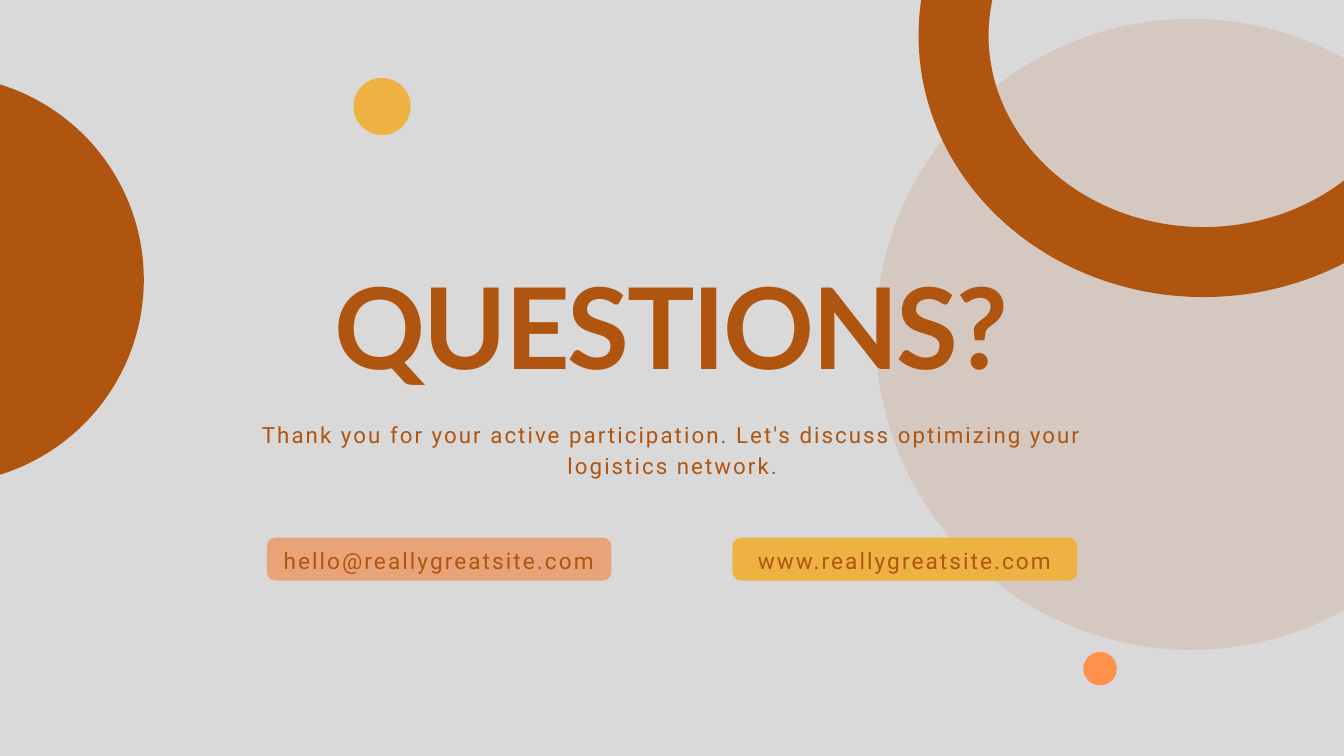
from dataclasses import dataclass

from lxml import etree
from pptx import Presentation
from pptx.dml.color import RGBColor
from pptx.enum.shapes import MSO_SHAPE as Shape
from pptx.enum.text import MSO_AUTO_SIZE as AutoSize, PP_ALIGN as Align
from pptx.oxml.ns import qn
from pptx.util import Inches, Pt


@dataclass(frozen=True)
class Theme:
    background: str = "D9D9D9"
    rust: str = "B05510"
    peach: str = "E9A379"
    amber: str = "EEB243"
    orange: str = "FF914D"
    heading_font: str = "Lato"
    body_font: str = "Roboto"
    title_size: float = 120.7
    body_size: float = 23.9
    contact_size: float = 24.2
    title_tracking: int = -240
    body_tracking: int = 220
    ring_width: int = 75


class Painter:
    def __init__(self, slide, theme):
        self.slide = slide
        self.theme = theme

    def background(self):
        fill = self.slide.background.fill
        fill.solid()
        fill.fore_color.rgb = RGBColor.from_string(self.theme.background)

    def shape(self, kind, left, top, width, height, color, opacity=100):
        shape = self.slide.shapes.add_shape(
            kind, Inches(left), Inches(top), Inches(width), Inches(height))
        shape.shadow.inherit = False
        shape.line.fill.background()
        shape.fill.solid()
        shape.fill.fore_color.rgb = RGBColor.from_string(color)
        if opacity < 100:
            tint = shape.fill._xPr.find(".//" + qn("a:srgbClr"))
            etree.SubElement(tint, qn("a:alpha"), val=str(opacity * 1000))
        return shape

    def circle(self, left, top, size, color, opacity=100):
        return self.shape(Shape.OVAL, left, top, size, size, color, opacity)

    def ring(self, left, top, width, height, color):
        ring = self.shape(Shape.OVAL, left, top, width, height, color)
        ring.fill.background()
        ring.line.color.rgb = RGBColor.from_string(color)
        ring.line.width = Pt(self.theme.ring_width)

    def pill(self, left, top, width, height, color):
        pill = self.shape(Shape.ROUNDED_RECTANGLE, left, top, width, height, color)
        pill.adjustments[0] = 0.2

    def text(self, words, left, top, width, height, size, leading, font, tracking, bold=False):
        box = self.slide.shapes.add_textbox(
            Inches(left), Inches(top), Inches(width), Inches(height))
        frame = box.text_frame
        frame.word_wrap = True
        frame.auto_size = AutoSize.SHAPE_TO_FIT_TEXT
        frame.margin_left = frame.margin_right = frame.margin_top = frame.margin_bottom = 0
        para = frame.paragraphs[0]
        para.alignment = Align.CENTER
        para.line_spacing = Pt(leading)
        span = para.add_run()
        span.text = words
        span.font._element.set("spc", str(tracking))
        para.font.name = font
        para.font.size = Pt(size)
        para.font.bold = bold
        para.font.color.rgb = RGBColor.from_string(self.theme.rust)

    def body(self, words, left, top, width, height, size, leading):
        self.text(words, left, top, width, height, size, leading,
                  self.theme.body_font, self.theme.body_tracking)


def main():
    theme = Theme()
    deck = Presentation()
    deck.slide_width, deck.slide_height = Inches(20), Inches(11.25)
    page = Painter(deck.slides.add_slide(deck.slide_layouts[6]), theme)

    page.background()
    page.circle(13.03, 0.28, 9.39, theme.rust, opacity=12)
    page.ring(14.19, -2.84, 7.44, 6.74, theme.rust)
    page.circle(-3.94, 1.12, 6.08, theme.rust)

    page.text("QUESTIONS?", 3.41, 3.48, 13.17, 2.26, theme.title_size, 169,
              theme.heading_font, theme.title_tracking, bold=True)
    page.body("Thank you for your active participation. "
              "Let's discuss optimizing your logistics network.",
              3.35, 6.2, 13.31, 0.91, theme.body_size, 33.4)

    contacts = [
        ("hello@reallygreatsite.com", 3.97, theme.peach, 4.08, 4.9),
        ("www.reallygreatsite.com", 10.9, theme.amber, 11.17, 4.58),
    ]
    for words, pill_left, color, text_left, text_width in contacts:
        page.pill(pill_left, 8, 5.13, 0.64, color)
        page.body(words, text_left, 8.07, text_width, 0.45, theme.contact_size, 33.9)

    page.circle(16.12, 9.7, 0.5, theme.orange)
    page.circle(5.26, 1.16, 0.85, theme.amber)

    deck.save("out.pptx")


if __name__ == "__main__":
    main()
